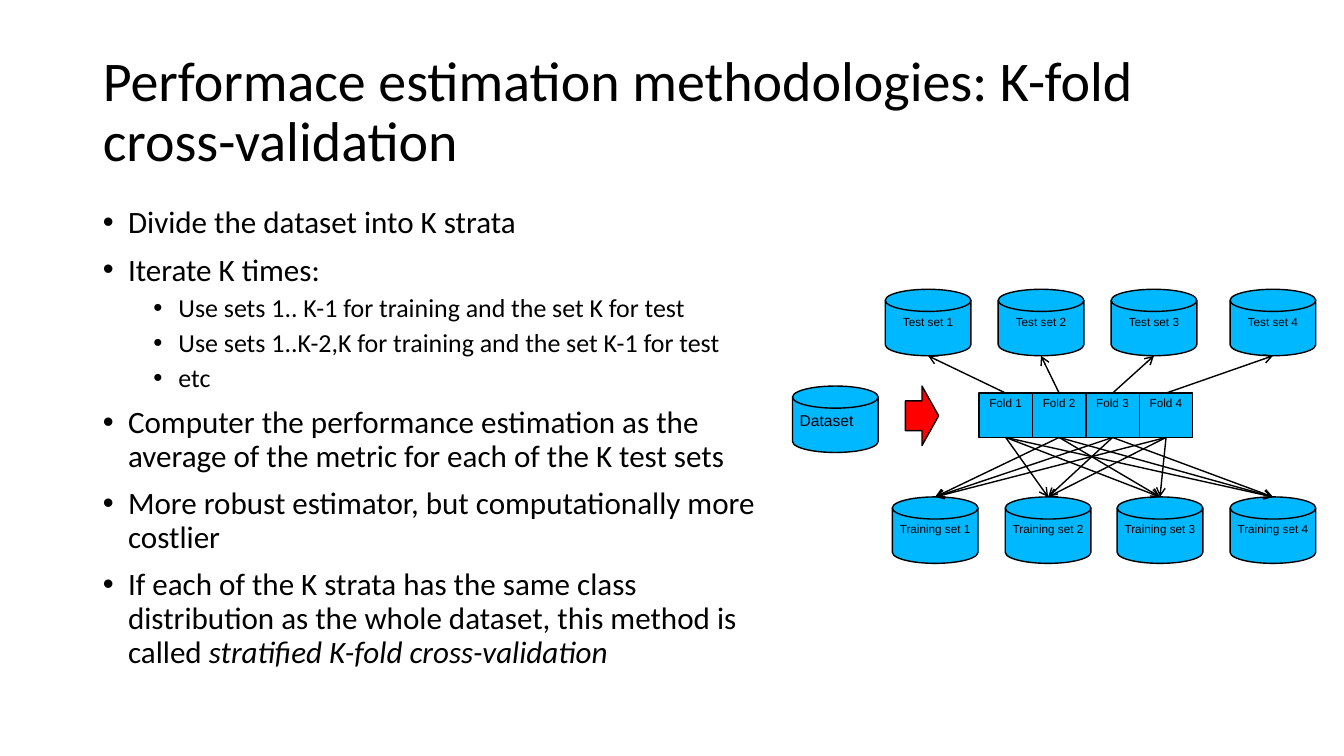
import pptx
import pptx.dml.color
import pptx.enum.shapes
import pptx.enum.text
import pptx.oxml
import pptx.oxml.ns
import pptx.util
from pptx.util import Inches, Pt

SHAPE = pptx.enum.shapes.MSO_SHAPE
ALIGN = pptx.enum.text.PP_ALIGN
ANCHOR = pptx.enum.text.MSO_ANCHOR

TITLE = "Performace estimation methodologies: K-fold cross-validation"
# Each item: outline level, then runs of (text, italic)
BULLETS = [
    (0, [("Divide the dataset into K strata", False)]),
    (0, [("Iterate K times:", False)]),
    (1, [("Use sets 1.. K-1 for training and the set K for test", False)]),
    (1, [("Use sets 1..K-2,K for training and the set K-1 for test", False)]),
    (1, [("etc", False)]),
    (0, [("Computer the performance estimation as the average of the metric "
          "for each of the K test sets", False)]),
    (0, [("More robust estimator, but computationally more costlier", False)]),
    (0, [("If each of the K strata has the same class distribution as the "
          "whole dataset, this method is called ", False),
         ("stratified K-fold cross-validation", True)]),
]

DISK_WIDTH, DISK_HEIGHT = 0.85, 0.66
TEST_LEFTS = [8.78, 9.9, 11.02, 12.2]
TRAINING_LEFTS = [8.85, 9.97, 11.08, 12.2]
TEST_TOP, TRAINING_TOP = 2.87, 4.93
FOLD_LEFT, FOLD_TOP, FOLD_WIDTH, FOLD_HEIGHT = 9.71, 3.9, 0.53, 0.44
TOP_SIDE, BOTTOM_SIDE = 0, 2


def color(hex_string):
    return pptx.dml.color.RGBColor.from_string(hex_string)


def add_xml(parent, tag, **attributes):
    child = pptx.oxml.parse_xml(f"<{tag} {pptx.oxml.ns.nsdecls('a')}/>")
    for name, value in attributes.items():
        child.set(name, value)
    parent.append(child)


class Diagram:
    """Holds the style and the slide being built."""

    ink, blue, red = "000000", "00B8FF", "FF0000"
    text_font, label_font = "Calibri", "Arial"

    def __init__(self, slide):
        self.slide = slide

    def span(self, para, text, size, font, italic=False):
        span = para.add_run()
        span.text = text
        span.font.size = Pt(size)
        span.font.name = font
        span.font.italic = italic
        span.font.color.rgb = color(self.ink)

    def placeholder(self, box, left, top, width, height, anchor):
        """Moves a placeholder and returns its text frame."""
        box.left, box.top = Inches(left), Inches(top)
        box.width, box.height = Inches(width), Inches(height)
        frame = box.text_frame
        frame.auto_size = pptx.enum.text.MSO_AUTO_SIZE.NONE
        frame.word_wrap = True
        frame.vertical_anchor = anchor
        return frame

    def title(self, text):
        frame = self.placeholder(self.slide.shapes.title, 0.92, 0.4, 11.5, 1.45,
                                 ANCHOR.MIDDLE)
        para = frame.paragraphs[0]
        para.alignment = ALIGN.LEFT
        para.line_spacing = 0.9
        self.span(para, text, 40, self.text_font)

    def bullets(self, items):
        frame = self.placeholder(self.slide.placeholders[1], 0.92, 2, 6.79, 4.76,
                                 ANCHOR.TOP)
        for index, (level, runs) in enumerate(items):
            para = frame.add_paragraph() if index else frame.paragraphs[0]
            para.level = level
            para.line_spacing = 0.9
            para.space_before = Pt((10, 5)[level])
            para.space_after = Pt(0)
            properties = para._p.get_or_add_pPr()
            properties.set("marL", str(Inches(0.25 + 0.5 * level)))
            properties.set("indent", str(Inches(-0.25)))
            add_xml(properties, "a:buFont", typeface="Arial")
            add_xml(properties, "a:buChar", char="•")
            for text, italic in runs:
                self.span(para, text, (22.2, 18.5)[level], self.text_font, italic)

    def shape(self, kind, left, top, width, height, fill):
        shape = self.slide.shapes.add_shape(
            kind, Inches(left), Inches(top), Inches(width), Inches(height))
        shape.shadow.inherit = False
        shape.fill.solid()
        shape.fill.fore_color.rgb = color(fill)
        shape.line.color.rgb = color(self.ink)
        shape.line.width = Pt(1)
        return shape

    def label(self, shape, text, size=8.4, align=ALIGN.CENTER):
        frame = shape.text_frame
        # Centred labels nearly fill their shapes and stay on one line
        frame.word_wrap = align == ALIGN.LEFT
        frame.vertical_anchor = ANCHOR.TOP
        frame.margin_left = frame.margin_right = Inches(0.07)
        frame.margin_top = frame.margin_bottom = Inches(0.04)
        para = frame.paragraphs[0]
        para.alignment = align
        para.line_spacing = 0.96
        self.span(para, text, size, self.label_font)

    def disk(self, left, top, text, **style):
        disk = self.shape(SHAPE.FLOWCHART_MAGNETIC_DISK, left, top,
                          DISK_WIDTH, DISK_HEIGHT, self.blue)
        self.label(disk, text, **style)
        return disk

    def fold(self, left, text):
        fold = self.shape(SHAPE.RECTANGLE, left, FOLD_TOP,
                          FOLD_WIDTH, FOLD_HEIGHT, self.blue)
        self.label(fold, text)
        return fold

    def arrow(self, fold, side, disk):
        """Joins a side of a fold to the facing end of a disk."""
        end_y = disk.top + disk.height if side == TOP_SIDE else disk.top
        arrow = self.slide.shapes.add_connector(
            pptx.enum.shapes.MSO_CONNECTOR.STRAIGHT, fold.left, fold.top,
            disk.left + disk.width // 2, end_y)
        arrow.begin_connect(fold, side)
        arrow.line.color.rgb = color(self.ink)
        arrow.line.width = Pt(1)
        add_xml(arrow.line._get_or_add_ln(), "a:tailEnd", type="arrow")
        add_xml(arrow._element.spPr, "a:effectLst")


def main():
    deck = pptx.Presentation()
    deck.slide_width, deck.slide_height = Inches(13.33), Inches(7.5)
    page = Diagram(deck.slides.add_slide(deck.slide_layouts[1]))
    page.title(TITLE)
    page.bullets(BULLETS)

    page.disk(7.86, 3.83, "Dataset", size=11.2, align=ALIGN.LEFT)
    page.shape(SHAPE.RIGHT_ARROW, 8.98, 3.83, 0.33, 0.59, page.red)
    folds = [page.fold(FOLD_LEFT + FOLD_WIDTH * index, f"Fold {index + 1}")
             for index in range(4)]
    tests = [page.disk(left, TEST_TOP, f"Test set {number}")
             for number, left in enumerate(TEST_LEFTS, 1)]
    trainings = [page.disk(left, TRAINING_TOP, f"Training set {number}")
                 for number, left in enumerate(TRAINING_LEFTS, 1)]

    # Each fold is tested once and trains every other set
    for fold_index, fold in enumerate(folds):
        page.arrow(fold, TOP_SIDE, tests[fold_index])
        for set_index, training in enumerate(trainings):
            if set_index != fold_index:
                page.arrow(fold, BOTTOM_SIDE, training)

    deck.save("out.pptx")


if __name__ == "__main__":
    main()
